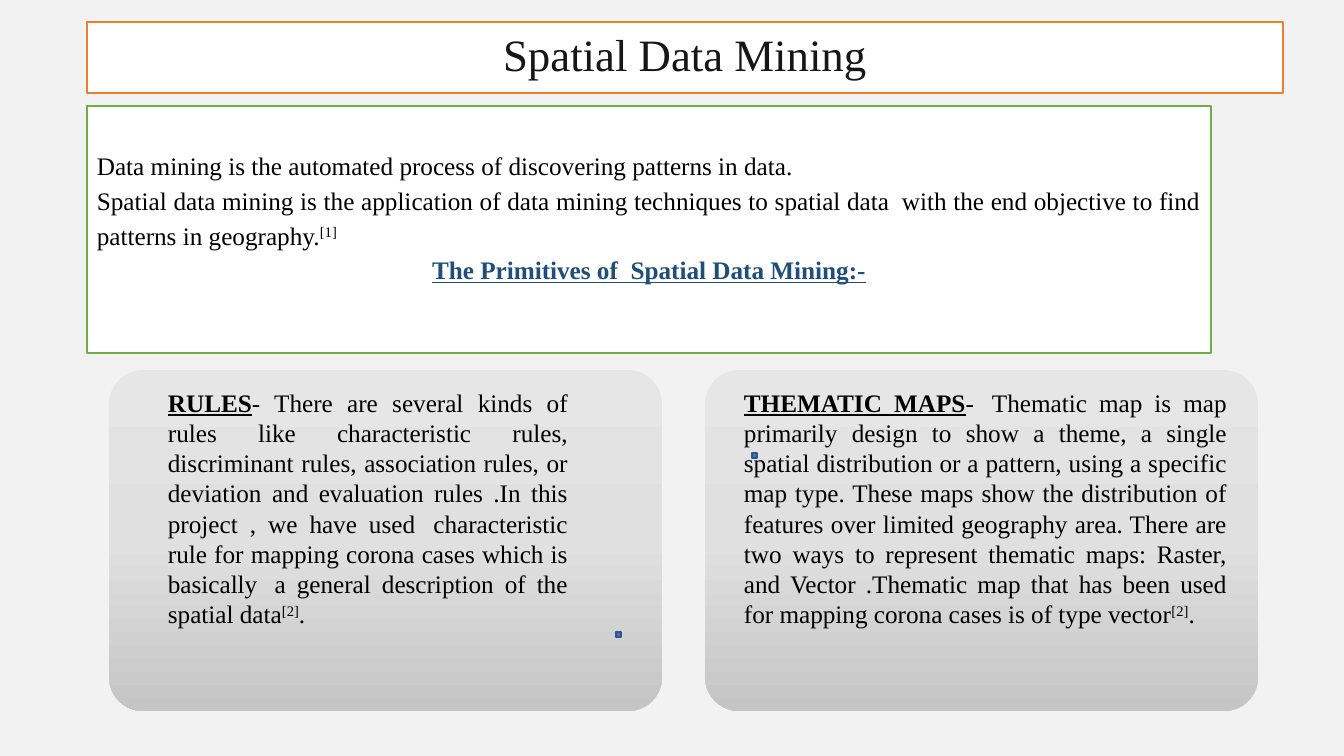
from lxml import etree
from pptx import Presentation
from pptx.dml.color import RGBColor
from pptx.enum.shapes import MSO_SHAPE
from pptx.enum.text import MSO_ANCHOR, PP_ALIGN
from pptx.oxml.ns import qn
from pptx.util import Emu, Pt

RECTANGLE = MSO_SHAPE.RECTANGLE
ROUNDED = MSO_SHAPE.ROUNDED_RECTANGLE
TOP, MIDDLE = MSO_ANCHOR.TOP, MSO_ANCHOR.MIDDLE
JUSTIFY, CENTER = PP_ALIGN.JUSTIFY, PP_ALIGN.CENTER

FONT = "Times New Roman"
PX = 914400 / 100.8
BLACK, NAVY = "000000", "1E4E79"

TITLE = "Spatial Data Mining"
TITLE_BOX = (87, 22, 1196, 71)
INTRO_BOX = (87, 106, 1124, 247)
INTRO = [
    (JUSTIFY, BLACK, [("Data mining is the automated process of discovering patterns in data.", "plain")]),
    (JUSTIFY, BLACK, [
        ("Spatial data mining is the application of data mining techniques to spatial data\u00a0 "
         "with the end objective to find patterns in geography.", "plain"),
        ("[1]", "super"),
    ]),
    (CENTER, NAVY, [("The Primitives of  Spatial Data Mining:-", "heading")]),
]
PRIMITIVES = [
    ("RULES",
     "- There are several kinds of rules like characteristic rules, discriminant rules, "
     "association rules, or deviation and evaluation rules .In this project , we have used\u00a0 "
     "characteristic rule for mapping corona cases which is basically\u00a0 a general description "
     "of the spatial data",
     (158, 352, 420, 285)),
    ("THEMATIC MAPS",
     "-\u00a0 Thematic map is map primarily design to show a theme, a single spatial distribution "
     "or a pattern, using a specific map type. These maps show the distribution of features over "
     "limited geography area. There are two ways to represent thematic maps: Raster, and Vector "
     ".Thematic map that has been used for mapping corona cases is of type vector",
     (734, 352, 503, 316)),
]
CARD_LEFT, CARD_TOP, CARD_WIDTH, CARD_HEIGHT, CARD_STEP = 109, 370, 553, 341, 596
CARD_STOPS = [(0, "E6E6E6"), (50, "E0E0E0"), (100, "C5C5C5")]
MARKERS = [(616, 632), (752, 453)]
MARKER_SIZE = 5


def color(value):
    return RGBColor.from_string(value)


def scaled(box):
    return [Emu(round(length * PX)) for length in box]


def paint(shape, fill, line, width):
    shape.fill.solid()
    shape.fill.fore_color.rgb = color(fill)
    shape.line.color.rgb = color(line)
    shape.line.width = Pt(width)


def add_shape(kind, box):
    shape = slide.shapes.add_shape(kind, *scaled(box))
    shape.shadow.inherit = False
    return shape


def fill_gradient(shape, stops):
    shape.fill.gradient()
    shape.fill.gradient_angle = 270
    stop_list = shape.fill._xPr.find(qn("a:gradFill")).find(qn("a:gsLst"))
    for stop in list(stop_list):
        stop_list.remove(stop)
    for position, value in stops:
        stop = etree.SubElement(stop_list, qn("a:gs"), pos=str(position * 1000))
        etree.SubElement(stop, qn("a:srgbClr"), val=value)


def write(frame, paragraphs, top_inset, spacing):
    frame.word_wrap = True
    frame.vertical_anchor = TOP
    frame.margin_top = Emu(round(top_inset * PX))
    for index, (alignment, ink, spans) in enumerate(paragraphs):
        para = frame.add_paragraph() if index else frame.paragraphs[0]
        para.alignment = alignment
        para.line_spacing = spacing
        para.font.name = FONT
        para.font.size = Pt(18)
        para.font.color.rgb = color(ink)
        for text, style in spans:
            span = para.add_run()
            span.text = text
            if style == "heading":
                span.font.bold = True
                span.font.underline = True
            elif style == "super":
                span.font._element.set("baseline", "30000")


deck = Presentation()
deck.slide_width, deck.slide_height = scaled((1344, 756))
slide = deck.slides.add_slide(deck.slide_layouts[5])
slide.background.fill.solid()
slide.background.fill.fore_color.rgb = color("F2F2F2")

title = slide.shapes.title
title.left, title.top, title.width, title.height = scaled(TITLE_BOX)
paint(title, "FFFFFF", "ED7D31", 2)
title.text_frame.text = TITLE
title.text_frame.vertical_anchor = MIDDLE
heading = title.text_frame.paragraphs[0]
heading.alignment = CENTER
heading.line_spacing = 0.9
heading.font.name = FONT
heading.font.size = Pt(32)
heading.font.color.rgb = color("171616")

intro = add_shape(RECTANGLE, INTRO_BOX)
paint(intro, "FFFFFF", "70AD47", 2)
write(intro.text_frame, INTRO, 40, 1.15)

for index, (name, description, box) in enumerate(PRIMITIVES):
    card = add_shape(ROUNDED, (CARD_LEFT + index * CARD_STEP, CARD_TOP, CARD_WIDTH, CARD_HEIGHT))
    card.adjustments[0] = 0.1
    fill_gradient(card, CARD_STOPS)
    card.line.fill.background()
    label = slide.shapes.add_textbox(*scaled(box))
    spans = [(name, "heading"), (description, "plain"), ("[2]", "super"), (".", "plain")]
    write(label.text_frame, [(JUSTIFY, BLACK, spans)], 35, 1.0)

for left, top in MARKERS:
    marker = add_shape(RECTANGLE, (left, top, MARKER_SIZE, MARKER_SIZE))
    paint(marker, "4472C4", "31538F", 1)

deck.save("out.pptx")
